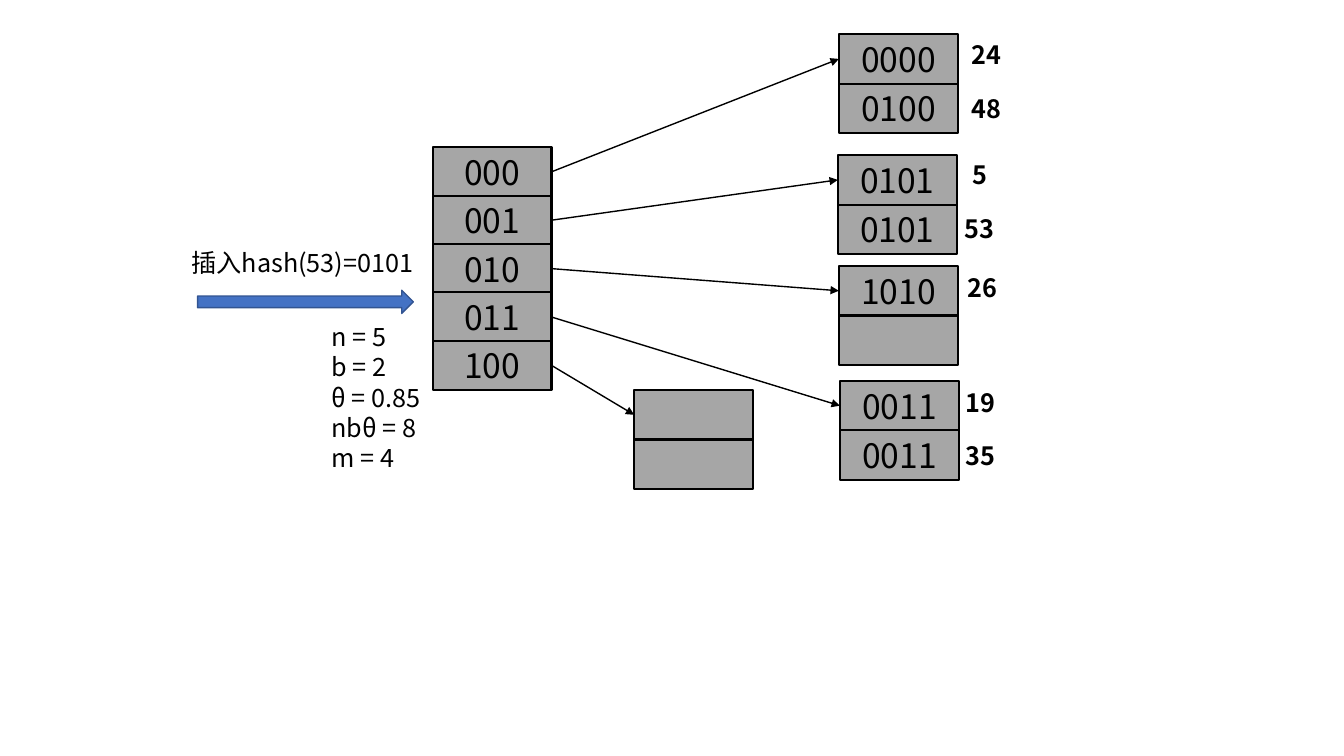
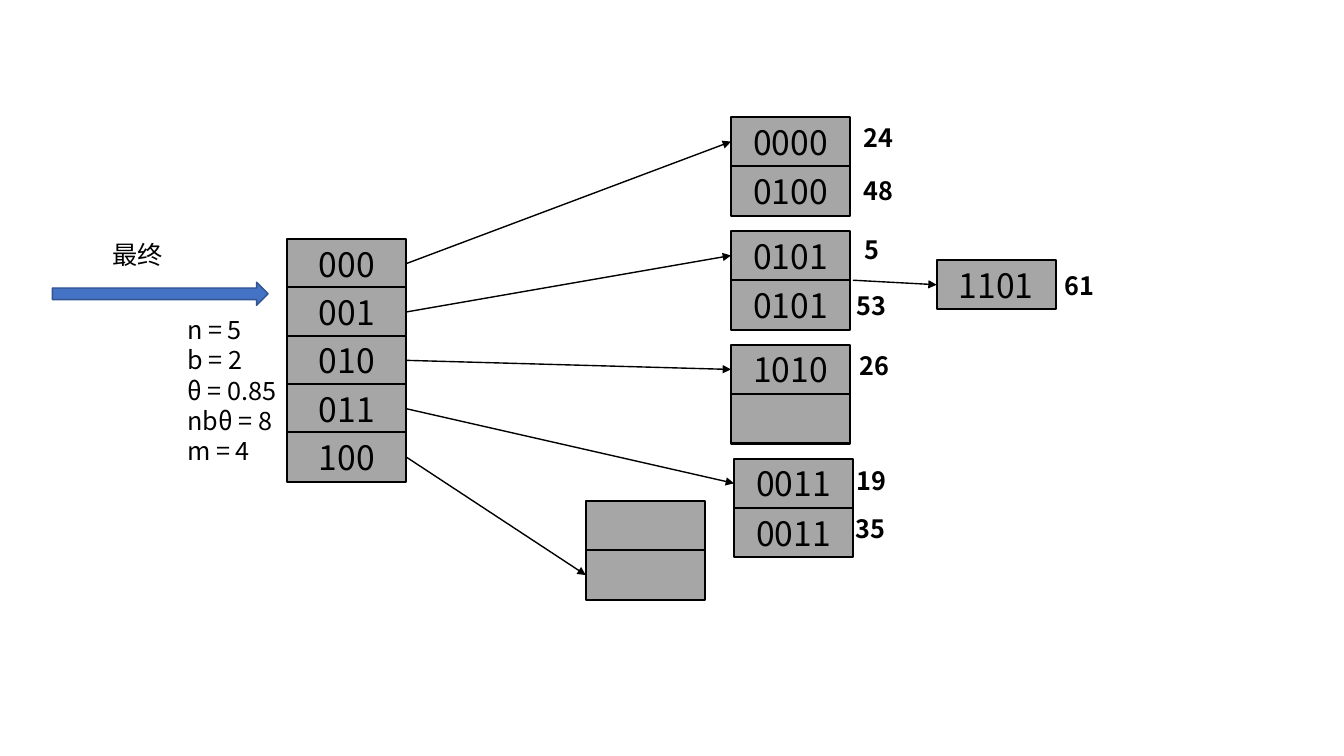
"""Two slides on linear hashing: a directory of keys that point to buckets."""
from dataclasses import dataclass

from lxml import etree
from pptx import Presentation
from pptx.dml.color import RGBColor
from pptx.enum.shapes import MSO_CONNECTOR, MSO_SHAPE
from pptx.enum.text import MSO_ANCHOR, MSO_AUTO_SIZE, PP_ALIGN
from pptx.oxml.ns import qn
from pptx.util import Inches, Pt

RECTANGLE, RIGHT_ARROW = MSO_SHAPE.RECTANGLE, MSO_SHAPE.RIGHT_ARROW
STRAIGHT = MSO_CONNECTOR.STRAIGHT
LEFT, CENTER = PP_ALIGN.LEFT, PP_ALIGN.CENTER
MIDDLE = MSO_ANCHOR.MIDDLE
GROW = MSO_AUTO_SIZE.SHAPE_TO_FIT_TEXT

SLIDE_WIDTH, SLIDE_HEIGHT = Inches(13.33), Inches(7.5)
COLUMN = SLIDE_WIDTH / 133.3
ROW = SLIDE_HEIGHT / 75

FONT = "Noto Sans CJK SC"
BLACK, GREY, BLUE, DARK_BLUE = "000000", "A6A6A6", "4472C4", "325491"

# Sizes in columns and rows
CELL_WIDTH, CELL_HEIGHT = 11.8, 4.9
DIRECTORY_PITCH = 4.8
LABEL_WIDTH, LINE_HEIGHT = 4.9, 4
STEP_ARROW_WIDTH, STEP_ARROW_HEIGHT = 21.4, 2.3
PARAMETERS_WIDTH, PARAMETERS_HEIGHT = 11.8, 16.2

DIRECTORY_KEYS = ("000", "001", "010", "011", "100")
PARAMETERS = ("n = 5", "b = 2", "θ = 0.85", "nbθ = 8", "m = 4")


@dataclass(frozen=True)
class Point:
    """A place on the grid."""
    column: float
    row: float


@dataclass(frozen=True)
class Label:
    """A stored value, placed relative to the top right corner of its bucket."""
    text: str
    column: float
    row: float


@dataclass(frozen=True)
class Bucket:
    """A stack of cells; the arrow enters at the middle of the entry cell."""
    corner: Point
    hashes: tuple[str, ...]
    labels: tuple[Label, ...] = ()
    entry: int = 0


@dataclass(frozen=True)
class Overflow:
    """A bucket chained to another one by an arrow."""
    start: Point
    bucket: Bucket


@dataclass(frozen=True)
class Step:
    """One state of the hash table; buckets follow the directory keys."""
    caption: str
    caption_corner: Point
    caption_width: float
    arrow_corner: Point
    parameters_corner: Point
    directory: Point
    buckets: tuple[Bucket, ...]
    overflows: tuple[Overflow, ...] = ()


STEPS = (
    Step(
        "插入hash(53)=0101", Point(18, 24), 25,
        Point(19.6, 28.8), Point(31.9, 31.4), Point(42.9, 14.6),
        (
            Bucket(Point(83.2, 3.4), ("0000", "0100"),
                   (Label("24", 0.4, 0), Label("48", 0.4, 5.4))),
            Bucket(Point(83.1, 15.4), ("0101", "0101"),
                   (Label("5", -0.2, -0.1), Label("53", -0.2, 5.3))),
            Bucket(Point(83.2, 26.4), ("1010", ""),
                   (Label("26", 0, 0.1),)),
            Bucket(Point(83.3, 37.8), ("0011", "0011"),
                   (Label("19", -0.3, 0.1), Label("35", -0.3, 5.4))),
            Bucket(Point(62.9, 38.7), ("", "")),
        ),
    ),
    Step(
        "最终", Point(10.2, 23.3), 8.4,
        Point(5.2, 28), Point(17.6, 30.7), Point(28.5, 23.7),
        (
            Bucket(Point(72.5, 11.6), ("0000", "0100"),
                   (Label("24", 0.4, 0), Label("48", 0.4, 5.3))),
            Bucket(Point(72.5, 22.9), ("0101", "0101"),
                   (Label("5", -0.3, -0.1), Label("53", -0.3, 5.4))),
            Bucket(Point(72.5, 34.2), ("1010", ""),
                   (Label("26", 0, 0.1),)),
            Bucket(Point(72.8, 45.5), ("0011", "0011"),
                   (Label("19", -0.6, 0.2), Label("35", -0.7, 4.9))),
            Bucket(Point(58.1, 49.7), ("", ""), entry=1),
        ),
        (
            Overflow(Point(84.6, 27.8),
                     Bucket(Point(92.9, 25.8), ("1101",),
                            (Label("61", -0.1, 0.5),))),
        ),
    ),
)


def color(value: str) -> RGBColor:
    """Turn a hex string into a colour."""
    return RGBColor.from_string(value)


def box(corner: Point, width: float, height: float) -> tuple[int, ...]:
    """Turn grid measures into left, top, width and height."""
    return (round(corner.column * COLUMN), round(corner.row * ROW),
            round(width * COLUMN), round(height * ROW))


def write(frame, *lines: str, size: float = 18, bold: bool = False,
          alignment=LEFT) -> None:
    """Write one paragraph a line into a text frame."""
    frame.word_wrap = True
    for index, line in enumerate(lines):
        paragraph = frame.add_paragraph() if index else frame.paragraphs[0]
        paragraph.alignment = alignment
        run = paragraph.add_run()
        run.text = line
        run.font.size = Pt(size)
        run.font.bold = bold
        run.font.color.rgb = color(BLACK)
        run.font.name = FONT
        east_asian = etree.SubElement(run.font._element, qn("a:ea"))
        east_asian.set("typeface", FONT)


def add_text(slide, corner: Point, width: float, height: float, *lines: str,
             side_margin: float = 0.1, **text_format) -> None:
    """Add a text box that grows with its text."""
    frame = slide.shapes.add_textbox(*box(corner, width, height)).text_frame
    frame.auto_size = GROW
    frame.margin_left = frame.margin_right = Inches(side_margin)
    write(frame, *lines, **text_format)


def add_block(slide, kind, corner: Point, width: float, height: float,
              fill: str, line: str, line_width: float):
    """Add a filled and outlined shape without a shadow."""
    shape = slide.shapes.add_shape(kind, *box(corner, width, height))
    shape.shadow.inherit = False
    shape.fill.solid()
    shape.fill.fore_color.rgb = color(fill)
    shape.line.color.rgb = color(line)
    shape.line.width = Pt(line_width)
    return shape


def add_stack(slide, corner: Point, texts: tuple[str, ...],
              pitch: float = CELL_HEIGHT) -> None:
    """Add cells one below the other."""
    for index, text in enumerate(texts):
        cell_corner = Point(corner.column, corner.row + index * pitch)
        cell = add_block(slide, RECTANGLE, cell_corner, CELL_WIDTH,
                         CELL_HEIGHT, GREY, BLACK, 1.5)
        if text:
            cell.text_frame.vertical_anchor = MIDDLE
            write(cell.text_frame, text, size=24, alignment=CENTER)


def add_pointer(slide, start: Point, end: Point) -> None:
    """Add a thin line with an arrowhead at its end."""
    connector = slide.shapes.add_connector(
        STRAIGHT, round(start.column * COLUMN), round(start.row * ROW),
        round(end.column * COLUMN), round(end.row * ROW))
    connector.line.color.rgb = color(BLACK)
    connector.line.width = Pt(1)
    properties = connector._element.spPr
    head = etree.SubElement(properties.find(qn("a:ln")), qn("a:tailEnd"))
    head.set("type", "triangle")
    etree.SubElement(properties, qn("a:effectLst"))


def add_bucket(slide, bucket: Bucket, start: Point) -> None:
    """Add a bucket, its labels and the arrow that leads to it."""
    corner = bucket.corner
    add_stack(slide, corner, bucket.hashes)
    for label in bucket.labels:
        label_corner = Point(corner.column + CELL_WIDTH + label.column,
                             corner.row + label.row)
        add_text(slide, label_corner, LABEL_WIDTH, LINE_HEIGHT, label.text,
                 side_margin=0, bold=True, alignment=CENTER)
    entry_row = corner.row + (bucket.entry + 0.5) * CELL_HEIGHT
    add_pointer(slide, start, Point(corner.column, entry_row))


def add_step(presentation, step: Step) -> None:
    """Add the slide of one step."""
    slide = presentation.slides.add_slide(presentation.slide_layouts[6])
    add_stack(slide, step.directory, DIRECTORY_KEYS, DIRECTORY_PITCH)
    for index, bucket in enumerate(step.buckets):
        row = step.directory.row + index * DIRECTORY_PITCH + CELL_HEIGHT / 2
        start = Point(step.directory.column + CELL_WIDTH, row)
        add_bucket(slide, bucket, start)
    for overflow in step.overflows:
        add_bucket(slide, overflow.bucket, overflow.start)
    add_block(slide, RIGHT_ARROW, step.arrow_corner, STEP_ARROW_WIDTH,
              STEP_ARROW_HEIGHT, BLUE, DARK_BLUE, 1)
    add_text(slide, step.caption_corner, step.caption_width, LINE_HEIGHT,
             step.caption)
    add_text(slide, step.parameters_corner, PARAMETERS_WIDTH,
             PARAMETERS_HEIGHT, *PARAMETERS)


def main() -> None:
    """Build and save the presentation."""
    presentation = Presentation()
    presentation.slide_width = SLIDE_WIDTH
    presentation.slide_height = SLIDE_HEIGHT
    for step in STEPS:
        add_step(presentation, step)
    presentation.save("out.pptx")


main()
